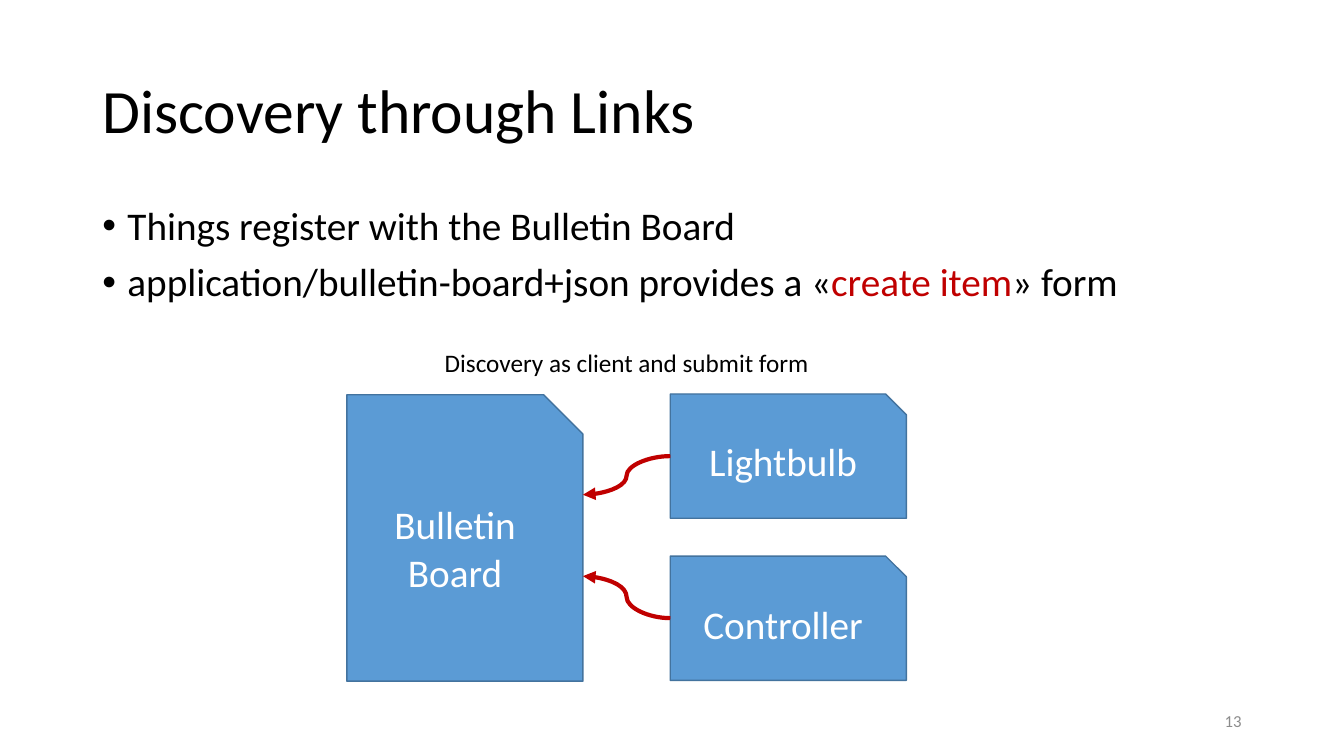
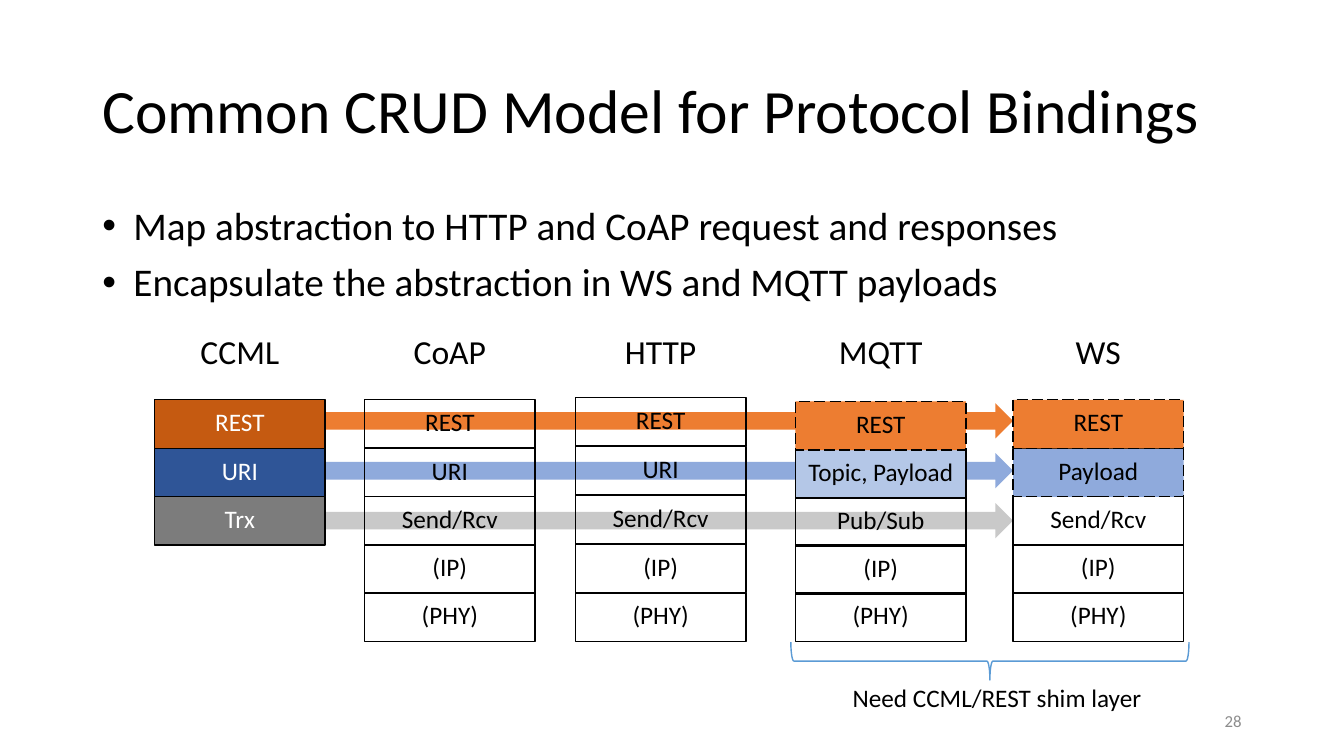
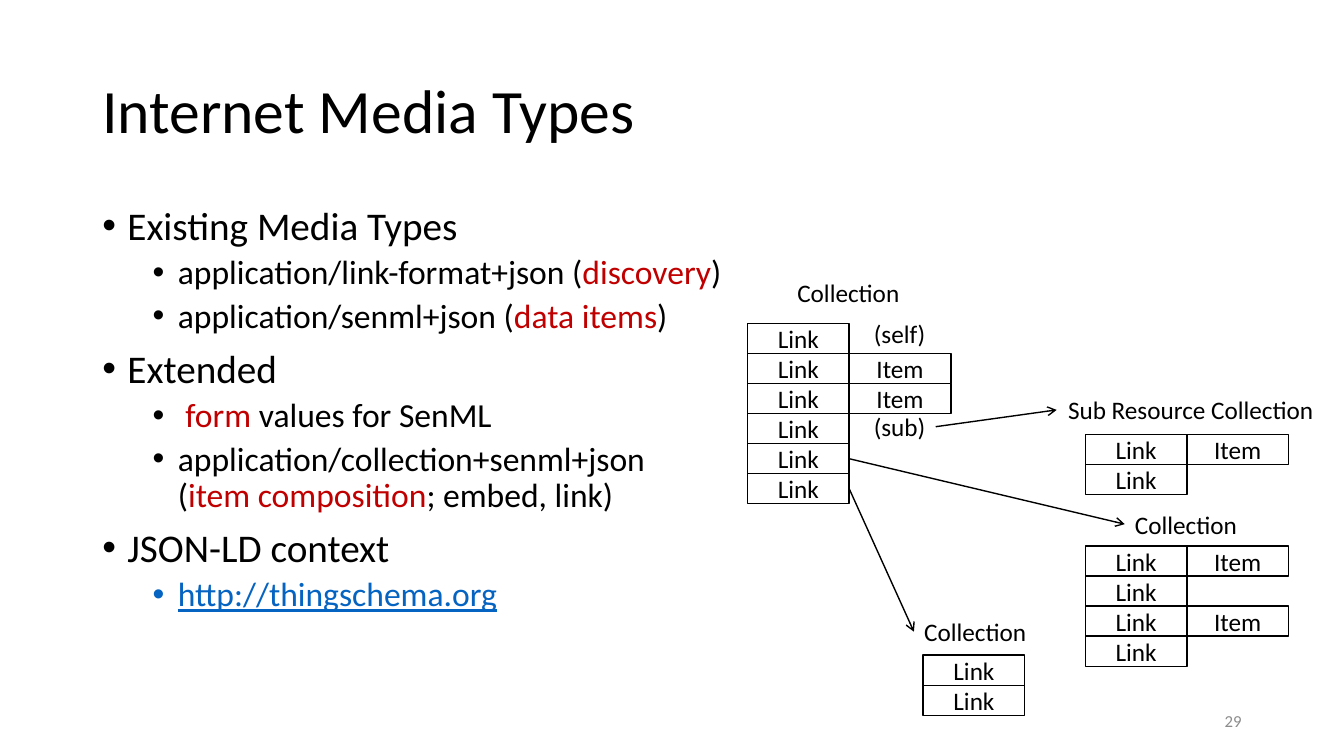
from dataclasses import dataclass
from typing import Any, NamedTuple, Optional

from lxml.etree import SubElement
from pptx import Presentation
from pptx.dml.color import RGBColor
from pptx.enum.dml import MSO_LINE_DASH_STYLE as Dash
from pptx.enum.shapes import MSO_CONNECTOR as Link, MSO_SHAPE as Preset
from pptx.enum.text import MSO_ANCHOR as Anchor, PP_ALIGN as Align
from pptx.oxml.ns import qn
from pptx.util import Emu, Inches, Pt

# Shared look: a square grid of 160 columns by 90 rows
COLUMNS, ROWS = 160, 90
UNIT = Inches(7.5) // ROWS
FONT = "Calibri"
BLACK, WHITE, RED, GREY = "000000", "FFFFFF", "C00000", "8C8C8C"
BLUE, BLUE_EDGE, LINK_BLUE = "5B9BD5", "43739E", "0563C1"
ORANGE, SOFT_BLUE, PALE_BLUE, SILVER = "ED7D31", "8FAADC", "B4C7E7", "C9C9C9"
MIDDLE = {"word_wrap": True, "vertical_anchor": Anchor.MIDDLE}
LABEL = {"word_wrap": False, "vertical_anchor": Anchor.TOP}
LAYER = {**MIDDLE, "margin_top": 0, "margin_bottom": Inches(0.05)}


class Cells(NamedTuple):
    """A rectangle in grid columns and rows."""
    col: float
    row: float
    cols: float
    rows: float


TITLE_AREA = Cells(11, 4.8, 138, 17.4)
BODY_AREA = Cells(11, 24, 138, 57.1)
NUMBER_AREA = Cells(113, 83.4, 36, 4.8)


class Style(NamedTuple):
    size: float = 18
    colour: str = BLACK
    align: Align = Align.CENTER


@dataclass
class Bullet:
    """Text between asterisks is shown in red."""
    text: str
    level: int = 0
    indent: float = 0.25
    is_link: bool = False


@dataclass
class Layer:
    name: str
    fill: Optional[str] = None
    ink: str = BLACK
    dashed: bool = False


@dataclass
class Stack:
    protocol: str
    col: float
    row: float
    layers: list[Layer]


@dataclass
class Collection:
    title: str
    title_area: Cells
    col: float
    row: float
    links: int
    item_rows: tuple[int, ...] = ()


# Helpers
def grid(count: float) -> Emu:
    return Emu(round(count * UNIT))


def place(area: Cells) -> list[Emu]:
    return [grid(count) for count in area]


def colour(code: str) -> RGBColor:
    return RGBColor.from_string(code)


def apply(target: Any, values: dict[str, Any]) -> None:
    for name, value in values.items():
        setattr(target, name, value)


def add_span(para, text: str, size: float, ink: str, underline: bool = False) -> None:
    for index, line in enumerate(text.split("\n")):
        if index:
            para.add_line_break()
        span = para.add_run()
        span.text = line
        apply(span.font, {"name": FONT, "size": Pt(size)})
        if underline:
            span.font.underline = True
        span.font.color.rgb = colour(ink)


def write(box, text: str, style: Style, frame: dict[str, Any]) -> None:
    apply(box.text_frame, frame)
    para = box.text_frame.paragraphs[0]
    para.alignment = style.align
    add_span(para, text, style.size, style.colour)


def add_text(page, area: Cells, text: str, style: Style = Style(),
             frame: dict[str, Any] = LABEL):
    box = page.shapes.add_textbox(*place(area))
    write(box, text, style, frame)
    return box


def add_box(page, preset: Preset, area: Cells, fill: Optional[str] = None,
            edge: Optional[str] = BLACK):
    box = page.shapes.add_shape(preset, *place(area))
    box.shadow.inherit = False
    if fill:
        box.fill.solid()
        box.fill.fore_color.rgb = colour(fill)
    else:
        box.fill.background()
    if edge:
        box.line.color.rgb = colour(edge)
        box.line.width = Pt(1)
    else:
        box.line.fill.background()
    return box


def add_arrow(page, kind: Link, ends: Cells, ink: str, width: float, head: str):
    """Draw an arrow; ends holds the start and the end point."""
    arrow = page.shapes.add_connector(kind, *place(ends))
    arrow.line.color.rgb = colour(ink)
    arrow.line.width = Pt(width)
    SubElement(arrow.line._get_or_add_ln(), qn("a:tailEnd"), type=head)
    SubElement(arrow._element.spPr, qn("a:effectLst"))
    return arrow


def add_bullets(page, bullets: list[Bullet]) -> None:
    frame = page.shapes.add_textbox(*place(BODY_AREA)).text_frame
    frame.word_wrap = True
    for index, bullet in enumerate(bullets):
        para = frame.add_paragraph() if index else frame.paragraphs[0]
        apply(para, {"line_spacing": 0.9, "level": bullet.level,
                     "space_before": Pt(5 if bullet.level else 10)})
        margin = bullet.indent + 0.5 * bullet.level
        props = para._p.get_or_add_pPr()
        props.set("marL", str(Inches(margin)))
        props.set("indent", str(-Inches(bullet.indent)))
        SubElement(props, qn("a:buFont"), typeface="Arial")
        SubElement(props, qn("a:buChar"), char="•")
        plain = LINK_BLUE if bullet.is_link else BLACK
        size = 24 if bullet.level else 28
        for part, text in enumerate(bullet.text.split("*")):
            if text:
                add_span(para, text, size, RED if part % 2 else plain, bullet.is_link)


def add_page(deck, title: str, number: int, bullets: list[Bullet]):
    page = deck.slides.add_slide(deck.slide_layouts[6])
    heading = add_text(page, TITLE_AREA, title, Style(44, align=Align.LEFT), MIDDLE)
    heading.text_frame.paragraphs[0].line_spacing = 0.9
    add_bullets(page, bullets)
    add_text(page, NUMBER_AREA, str(number), Style(12, GREY, Align.RIGHT), MIDDLE)
    return page


# Slide: discovery
def draw_discovery(deck) -> None:
    page = add_page(deck, "Discovery through Links", 13, [
        Bullet("Things register with the Bulletin Board"),
        Bullet("application/bulletin-board+json provides a «*create item*» form"),
    ])
    board = Cells(41.3, 47, 28.1, 34.1)
    things = {"Lightbulb": Cells(79.8, 46.9, 28.1, 14.8),
              "Controller": Cells(79.8, 66.2, 28.1, 14.8)}
    for name, area in {"Bulletin Board": board, **things}.items():
        box = add_box(page, Preset.SNIP_1_RECTANGLE, area, BLUE, BLUE_EDGE)
        write(box, name, Style(28, WHITE), MIDDLE)
    for area, target_row in zip(things.values(), (58.9, 68.6)):
        ends = Cells(area.col, area.row + area.rows / 2,
                     board.col + board.cols, target_row)
        add_arrow(page, Link.CURVE, ends, RED, 3, "triangle")
    add_text(page, Cells(51.4, 40.8, 46.4, 4.8), "Discovery as client and submit form")


# Slide: protocol stacks
STACK_COLS, LAYER_ROWS, LAST_LAYER_ROW = 20.3, 5.8, 70.6
NETWORK = [Layer("(IP)"), Layer("(PHY)")]
WEB = [Layer("REST"), Layer("URI"), Layer("Send/Rcv"), *NETWORK]
SHIM = Layer("REST", ORANGE, dashed=True)
STACKS = [
    Stack("CCML", 18.4, 47.6, [Layer("REST", "C55A11", WHITE),
                               Layer("URI", "2F5597", WHITE),
                               Layer("Trx", "7C7C7C", WHITE)]),
    Stack("CoAP", 43.4, 47.6, WEB),
    Stack("HTTP", 68.5, 47.3, WEB),
    Stack("MQTT", 94.7, 47.8, [SHIM, Layer("Topic, Payload", PALE_BLUE),
                               Layer("Pub/Sub"), *NETWORK]),
    Stack("WS", 120.6, 47.6, [SHIM, Layer("Payload", SOFT_BLUE, dashed=True),
                              Layer("Send/Rcv"), *NETWORK]),
]


def draw_stack(page, stack: Stack) -> None:
    add_text(page, Cells(stack.col, 38.8, STACK_COLS, 6), stack.protocol, Style(24))
    pitch = (LAST_LAYER_ROW - stack.row) / 4
    for index, layer in reversed(list(enumerate(stack.layers))):
        area = Cells(stack.col, stack.row + index * pitch, STACK_COLS, LAYER_ROWS)
        box = add_box(page, Preset.RECTANGLE, area, layer.fill)
        if layer.dashed:
            box.line.dash_style = Dash.LONG_DASH
        write(box, layer.name, Style(colour=layer.ink), LAYER)


def draw_protocols(deck) -> None:
    page = add_page(deck, "Common CRUD Model for Protocol Bindings", 28, [
        Bullet("Map abstraction to HTTP and CoAP request and responses", indent=0.31),
        Bullet("Encapsulate the abstraction in WS and MQTT payloads", indent=0.31),
    ])
    for index, fill in enumerate((ORANGE, SOFT_BLUE, SILVER)):
        area = Cells(38.7, 48 + 5.94 * index, 81.9, 4.2)
        add_box(page, Preset.RIGHT_ARROW, area, fill, None)
    for stack in STACKS:
        draw_stack(page, stack)
    brace = add_box(page, Preset.LEFT_BRACE, Cells(115.6, 55, 4.5, 47.4), None, BLUE)
    brace.rotation = 270
    brace.adjustments[0], brace.adjustments[1] = 0.08, 0.5
    add_text(page, Cells(100.1, 80.6, 37.2, 4.8), "Need CCML/REST shim layer")


# Slide: media types
ENTRY_COLS, ENTRY_ROWS = 12.1, 3.58
ROOT = Collection("Collection", Cells(93.7, 32.4, 14.6, 4.8), 89, 38.5, 6, (1, 2))
SUB = Collection("Sub Resource Collection", Cells(125.8, 46.4, 31.9, 4.8),
                 129.2, 51.7, 2, (0,))
RIGHT = Collection("Collection", Cells(133.9, 60, 14.6, 4.8), 129.2, 65, 4, (0, 2))
LOWER = Collection("Collection", Cells(108.8, 72.8, 14.6, 4.8), 109.9, 78, 2)


def draw_collection(page, group: Collection) -> tuple[Any, list[Any]]:
    """Return the title box and the link boxes."""
    def add_entry(name: str, column: int, index: int):
        area = Cells(group.col + column * ENTRY_COLS, group.row + index * ENTRY_ROWS,
                     ENTRY_COLS, ENTRY_ROWS)
        box = add_box(page, Preset.RECTANGLE, area)
        write(box, name, Style(), MIDDLE)
        return box

    links = [add_entry("Link", 0, index) for index in range(group.links)]
    for index in group.item_rows:
        add_entry("Item", 1, index)
    return add_text(page, group.title_area, group.title), links


def draw_media_types(deck) -> None:
    page = add_page(deck, "Internet Media Types", 29, [
        Bullet("Existing Media Types"),
        Bullet("application/link-format+json (*discovery*)", 1),
        Bullet("application/senml+json (*data items*)", 1),
        Bullet("Extended"),
        Bullet(" *form* values for SenML", 1),
        Bullet("application/collection+senml+json\n(*item composition*; embed, link)", 1),
        Bullet("JSON-LD context"),
        Bullet("http://thingschema.org", 1, is_link=True),
    ])
    _, links = draw_collection(page, ROOT)
    add_text(page, Cells(102.8, 37.3, 8.6, 4.8), "(self)")
    sub_label = add_text(page, Cells(102.8, 48.4, 8.6, 4.8), "(sub)")
    for source, group in zip((sub_label, *links[4:]), (SUB, RIGHT, LOWER)):
        title, _ = draw_collection(page, group)
        arrow = add_arrow(page, Link.STRAIGHT, Cells(0, 0, 1, 1), BLACK, 1, "arrow")
        arrow.begin_connect(source, 3)
        arrow.end_connect(title, 1)


def main() -> None:
    deck = Presentation()
    apply(deck, {"slide_width": grid(COLUMNS), "slide_height": grid(ROWS)})
    for draw in (draw_discovery, draw_protocols, draw_media_types):
        draw(deck)
    deck.save("out.pptx")


if __name__ == "__main__":
    main()
